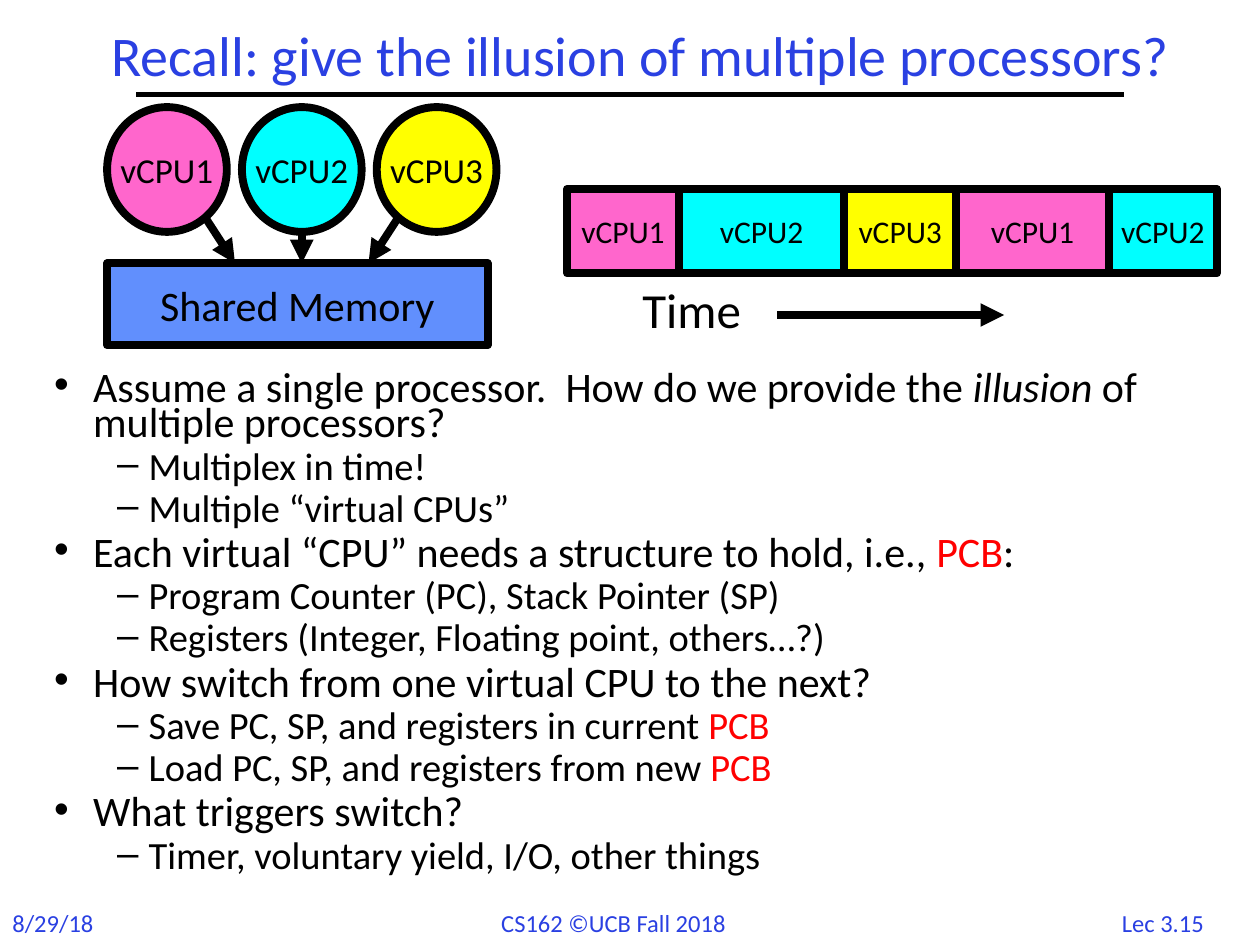
import pptx
import pptx.util
import pptx.dml.color
import pptx.enum.shapes
import pptx.enum.text
import pptx.oxml
import pptx.oxml.ns

Inches = pptx.util.Inches
Pt = pptx.util.Pt
ALIGN = pptx.enum.text.PP_ALIGN
ANCHOR = pptx.enum.text.MSO_ANCHOR
SHAPE = pptx.enum.shapes.MSO_SHAPE

COLORS = {
    "black": "000000",
    "blue": "2A40E2",
    "red": "FF0000",
    "pink": "FF66CC",
    "cyan": "00FFFF",
    "yellow": "FFFF00",
    "memory": "618FFD",
}
CPU_COLORS = {"vCPU1": "pink", "vCPU2": "cyan", "vCPU3": "yellow"}
TIME_SLICES = [("vCPU1", 0.89), ("vCPU2", 1.31), ("vCPU3", 0.89),
               ("vCPU1", 1.21), ("vCPU2", 0.86)]
BULLETS = [
    (0, ["Assume a single processor.  How do we provide the ",
         ("illusion", {"italic": True}), " of multiple processors?"]),
    (1, ["Multiplex in time!"]),
    (1, ["Multiple “virtual CPUs”"]),
    (0, ["Each virtual “CPU” needs a structure to hold, i.e., ",
         ("PCB", {"color": "red"}), ":"]),
    (1, ["Program Counter (PC), Stack Pointer (SP)"]),
    (1, ["Registers (Integer, Floating point, others…?)"]),
    (0, ["How switch from one virtual CPU to the next?"]),
    (1, ["Save PC, SP, and registers in current ", ("PCB", {"color": "red"})]),
    (1, ["Load PC, SP, and registers from new ", ("PCB", {"color": "red"})]),
    (0, ["What triggers switch?"]),
    (1, ["Timer, voluntary yield, I/O, other things"]),
]
LEVELS = [
    {"size": 24, "bullet": "•", "margin": 0.31, "hanging": 0.31},
    {"size": 22, "bullet": "–", "margin": 0.75, "hanging": 0.25},
]


def rgb(color):
    return pptx.dml.color.RGBColor.from_string(COLORS[color])


def add_text(paragraph, text, size=24, color="black", italic=False):
    run = paragraph.add_run()
    run.text = text
    run.font.name = "Calibri"
    run.font.size = Pt(size)
    run.font.italic = italic
    run.font.color.rgb = rgb(color)


def set_box(shape, left, top, width, height):
    shape.left, shape.top = Inches(left), Inches(top)
    shape.width, shape.height = Inches(width), Inches(height)


def add_label(slide, text, box, align=ALIGN.LEFT, **text_format):
    label = slide.shapes.add_textbox(*map(Inches, box))
    label.text_frame.word_wrap = True
    paragraph = label.text_frame.paragraphs[0]
    paragraph.alignment = align
    add_text(paragraph, text, **text_format)


def add_block(slide, kind, text, box, fill, size):
    shape = slide.shapes.add_shape(kind, *map(Inches, box))
    shape.shadow.inherit = False
    shape.fill.solid()
    shape.fill.fore_color.rgb = rgb(fill)
    shape.line.color.rgb = rgb("black")
    shape.line.width = Pt(4.5)
    frame = shape.text_frame
    frame.word_wrap = False
    frame.vertical_anchor = ANCHOR.MIDDLE
    frame.paragraphs[0].alignment = ALIGN.CENTER
    add_text(frame.paragraphs[0], text, size=size)


def add_line(slide, start, end, width=4.5, arrow=True):
    connector = slide.shapes.add_connector(
        pptx.enum.shapes.MSO_CONNECTOR.STRAIGHT, *map(Inches, start + end))
    connector.line.color.rgb = rgb("black")
    connector.line.width = Pt(width)
    properties = connector._element.spPr
    namespace = pptx.oxml.ns.nsdecls("a")
    if arrow:
        properties.find(pptx.oxml.ns.qn("a:ln")).append(
            pptx.oxml.parse_xml(f'<a:tailEnd {namespace} type="triangle"/>'))
    properties.append(pptx.oxml.parse_xml(f"<a:effectLst {namespace}/>"))


def add_title(slide, left, top, width, height):
    title = slide.shapes.title
    set_box(title, left, top, width, height)
    frame = title.text_frame
    frame.auto_size = pptx.enum.text.MSO_AUTO_SIZE.NONE
    frame.vertical_anchor = ANCHOR.MIDDLE
    paragraph = frame.paragraphs[0]
    paragraph.alignment = ALIGN.CENTER
    paragraph.line_spacing = 0.9
    add_text(paragraph, "Recall: give the illusion of multiple processors?",
             size=32, color="blue")
    bottom = top + height
    add_line(slide, (1.08, bottom), (8.92, bottom), width=3, arrow=False)


def add_shared_memory(slide, left, top, width, height):
    circle_width, circle_height, pitch = 0.95, 0.99, 1.07
    memory_height = 0.65
    memory_top = top + height - memory_height
    for index, (name, color) in enumerate(CPU_COLORS.items()):
        box = (left + index * pitch, top, circle_width, circle_height)
        add_block(slide, SHAPE.OVAL, name, box, color, 20)
    add_block(slide, SHAPE.RECTANGLE, "Shared Memory",
              (left, memory_top, width, memory_height), "memory", 24)
    middle = left + pitch + circle_width / 2
    circle_bottom = top + circle_height
    for side, start_top in [(-1, circle_bottom - 0.12), (0, circle_bottom),
                            (1, circle_bottom - 0.12)]:
        add_line(slide, (middle + side * 0.77, start_top),
                 (middle + side * 0.53, memory_top))


def add_timeline(slide, left, top, height):
    slice_left = left
    for name, width in TIME_SLICES:
        add_block(slide, SHAPE.RECTANGLE, name,
                  (slice_left, top, width, height), CPU_COLORS[name], 18)
        slice_left += width
    add_label(slide, "Time", (left + 0.5, top + height, 1.12, 0.57), size=28)
    arrow_top = top + 1
    add_line(slide, (left + 1.67, arrow_top), (left + 3.47, arrow_top))


def add_bullets(slide, left, top, width, height):
    body = slide.placeholders[1]
    set_box(body, left, top, width, height)
    frame = body.text_frame
    frame.auto_size = pptx.enum.text.MSO_AUTO_SIZE.NONE
    for index, (level, parts) in enumerate(BULLETS):
        style = LEVELS[level]
        paragraph = frame.add_paragraph() if index else frame.paragraphs[0]
        paragraph.level = level
        paragraph.line_spacing = 0.7
        paragraph.space_before = Pt(style["size"] / 4 if index else 0)
        properties = paragraph._p.get_or_add_pPr()
        properties.set("marL", str(Inches(style["margin"])))
        properties.set("indent", str(-Inches(style["hanging"])))
        properties.append(pptx.oxml.parse_xml(
            f'<a:buChar {pptx.oxml.ns.nsdecls("a")} char="{style["bullet"]}"/>'))
        for part in parts:
            text, emphasis = (part, {}) if isinstance(part, str) else part
            add_text(paragraph, text, size=style["size"], **emphasis)


def add_footer(slide, top, height):
    for text, left, width, align in [
            ("8/29/18", 0, 1.1, ALIGN.LEFT),
            ("CS162 ©UCB Fall 2018", 3.88, 2.2, ALIGN.LEFT),
            ("Lec 3.15", 8.68, 1.1, ALIGN.CENTER)]:
        add_label(slide, text, (left, top, width, height), align=align,
                  size=14, color="blue")


def main():
    presentation = pptx.Presentation()
    presentation.slide_width = Inches(10)
    presentation.slide_height = Inches(7.5)
    slide = presentation.slides.add_slide(presentation.slide_layouts[1])
    add_footer(slide, 7.16, 0.34)
    add_title(slide, 0.5, 0.17, 9.17, 0.58)
    add_shared_memory(slide, 0.85, 0.85, 3.02, 1.89)
    add_bullets(slide, 0.33, 2.92, 9.42, 4.33)
    add_timeline(slide, 4.5, 1.5, 0.67)
    presentation.save("out.pptx")


if __name__ == "__main__":
    main()
